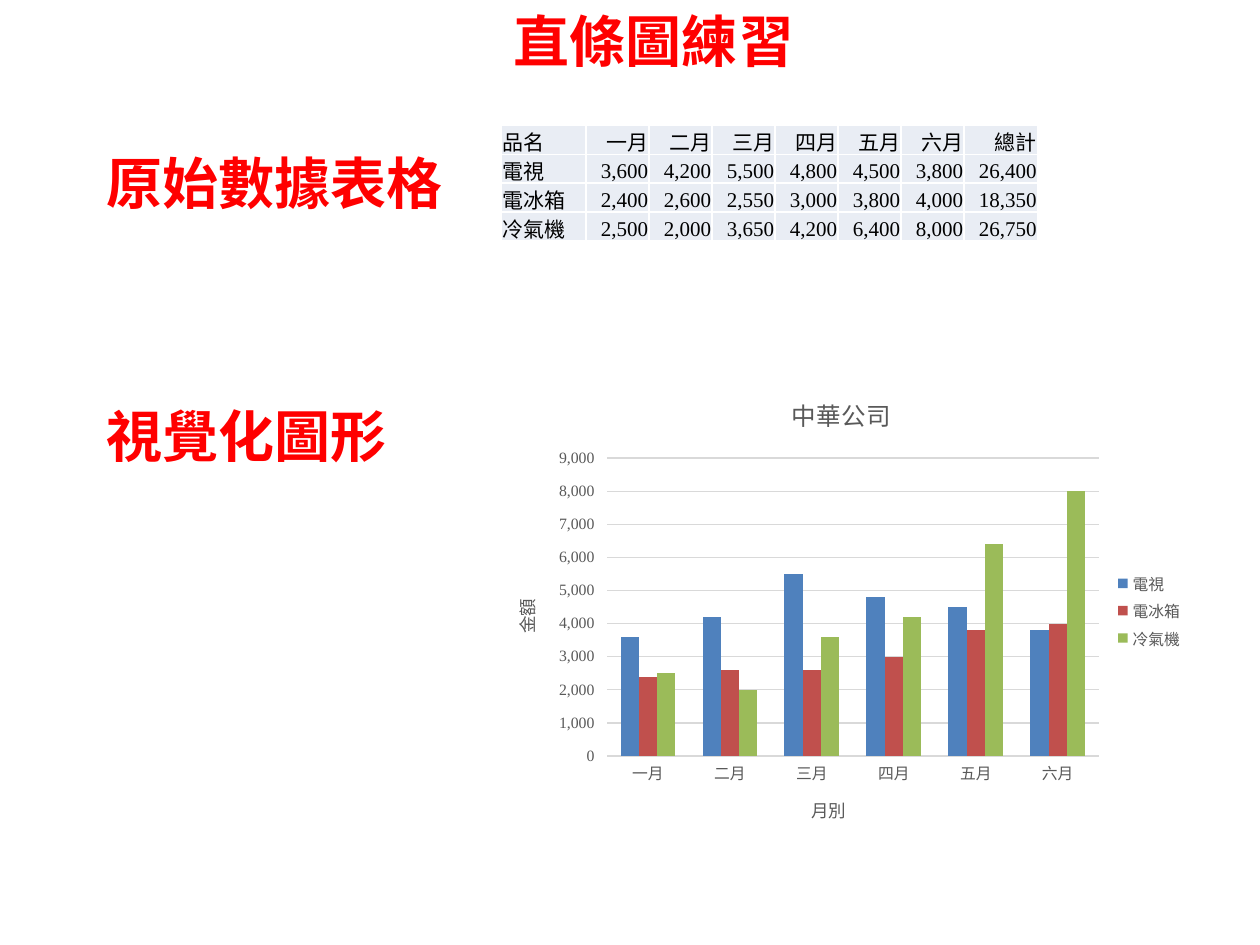
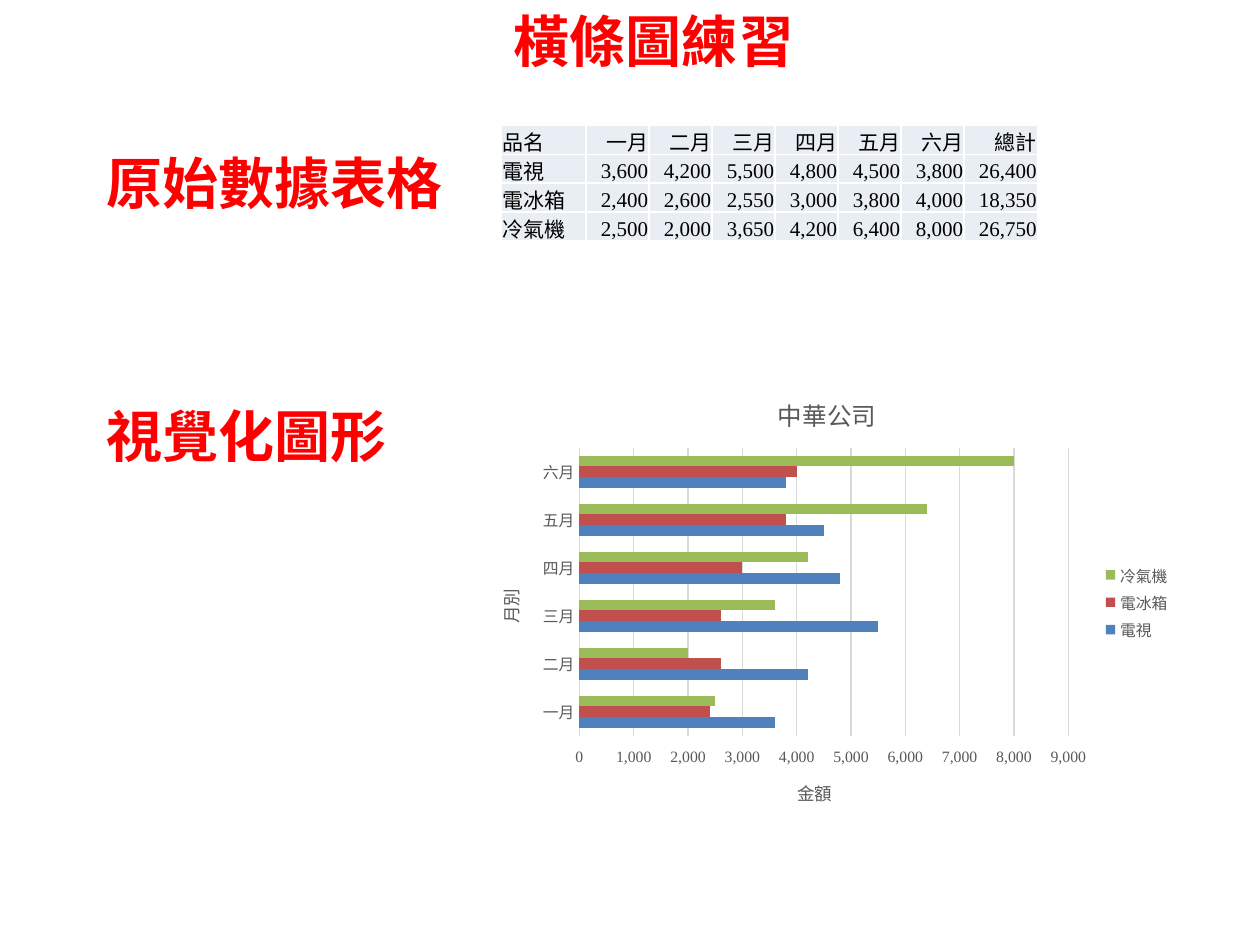
import pptx
import pptx.chart.data
import pptx.dml.color
import pptx.enum.chart
import pptx.enum.text
import pptx.oxml
import pptx.oxml.ns
import pptx.util

Pt = pptx.util.Pt
RGB = pptx.dml.color.RGBColor
XL = pptx.enum.chart
TX = pptx.enum.text

RED = RGB(0xFF, 0x00, 0x00)
BLACK = RGB(0x00, 0x00, 0x00)
GREY = RGB(0x59, 0x59, 0x59)
GRID = RGB(0xD9, 0xD9, 0xD9)
CELL = RGB(0xE9, 0xED, 0xF4)
SERIES_COLOURS = [RGB(0x4F, 0x81, 0xBD), RGB(0xC0, 0x50, 0x4D), RGB(0x9B, 0xBB, 0x59)]

HEADING = {"name": "Arial", "size": Pt(32), "bold": True}
BODY = {"name": "Times New Roman", "size": Pt(12), "bold": False}
CHART_TITLE = {**BODY, "size": Pt(14)}
AXIS_TITLE = {**BODY, "size": Pt(10)}
TICK = {**BODY, "size": Pt(9)}

MONTHS = ["一月", "二月", "三月", "四月", "五月", "六月"]
SALES = {
    "電視": [3600, 4200, 5500, 4800, 4500, 3800],
    "電冰箱": [2400, 2600, 2550, 3000, 3800, 4000],
    "冷氣機": [2500, 2000, 3650, 4200, 6400, 8000],
}

TITLE_BOX = (286.5, 0, 178.5, 46)
LABELS = {"原始數據表格": (54, 81.5, 215, 46), "視覺化圖形": (54, 226, 215, 46)}
TABLE_BOX = (286.5, 71.7, 306.5, 66)


def set_font(font, style, colour):
    for key, value in style.items():
        setattr(font, key, value)
    font.color.rgb = colour


def fill_heading(sp, box, text):
    sp.left, sp.top, sp.width, sp.height = map(Pt, box)
    tf = sp.text_frame
    frame = {"word_wrap": True, "vertical_anchor": TX.MSO_ANCHOR.TOP,
             "auto_size": TX.MSO_AUTO_SIZE.SHAPE_TO_FIT_TEXT,
             "margin_left": Pt(7.2), "margin_right": Pt(7.2),
             "margin_top": Pt(3.6), "margin_bottom": Pt(3.6)}
    for key, value in frame.items():
        setattr(tf, key, value)
    p = tf.paragraphs[0]
    p.alignment, p.line_spacing, p.space_before = TX.PP_ALIGN.LEFT, 1.0, Pt(0)
    r = p.add_run()
    r.text = text
    set_font(r.font, HEADING, RED)


def add_sales_table(s, box):
    rows = [["品名", *MONTHS, "總計"]]
    for name, values in SALES.items():
        rows.append([name] + [f"{v:,}" for v in values + [sum(values)]])
    table = s.shapes.add_table(len(rows), len(rows[0]), *map(Pt, box)).table
    table.first_row = table.horz_banding = False
    first, last = 48.5, 42
    month = (box[2] - first - last) / len(MONTHS)
    for col, width in zip(table.columns, [first] + [month] * len(MONTHS) + [last]):
        col.width = Pt(width)
    for i, row in enumerate(rows):
        table.rows[i].height = Pt(box[3] / len(rows))
        for j, text in enumerate(row):
            cell = table.cell(i, j)
            cell.fill.solid()
            cell.fill.fore_color.rgb = CELL
            cell.vertical_anchor = TX.MSO_ANCHOR.BOTTOM
            cell.margin_left = cell.margin_right = cell.margin_top = Pt(0.6)
            cell.margin_bottom = Pt(0)
            p = cell.text_frame.paragraphs[0]
            p.alignment = TX.PP_ALIGN.RIGHT if j else TX.PP_ALIGN.LEFT
            r = p.add_run()
            r.text = text
            set_font(r.font, BODY, BLACK)


def set_chart_title(holder, text, style, upright):
    tf = holder.text_frame
    p = tf.paragraphs[0]
    r = p.add_run()
    r.text = text
    set_font(r.font, style, GREY)
    if upright:
        body = holder._element.xpath(".//a:bodyPr")[0]
        body.set("rot", "-5400000")
        body.set("vert", "horz")


def place_plot(chart, box, plot_box):
    sizes = (box[2], box[3]) * 2
    parts = "".join(f'<c:{k} val="{v / size:.4f}"/>'
                    for k, v, size in zip("xywh", plot_box, sizes))
    plot_area = chart._chartSpace.chart.plotArea
    for old in plot_area.xpath("./c:layout"):
        plot_area.remove(old)
    plot_area.insert(0, pptx.oxml.parse_xml(
        f'<c:layout {pptx.oxml.ns.nsdecls("c")}><c:manualLayout>'
        '<c:layoutTarget val="inner"/><c:xMode val="edge"/><c:yMode val="edge"/>'
        f'{parts}</c:manualLayout></c:layout>'))


def add_sales_chart(s, box, kind, plot_box):
    data = pptx.chart.data.CategoryChartData(number_format="#,##0")
    data.categories = MONTHS
    for name, values in SALES.items():
        data.add_series(name, [round(v, -2) for v in values])
    chart = s.shapes.add_chart(kind, *map(Pt, box), data).chart
    set_font(chart.font, AXIS_TITLE, BLACK)
    chart.has_title = True
    set_chart_title(chart.chart_title, "中華公司", CHART_TITLE, False)
    chart.has_legend = True
    chart.legend.position = XL.XL_LEGEND_POSITION.RIGHT
    chart.legend.include_in_layout = False
    set_font(chart.legend.font, TICK, GREY)

    horizontal = kind == XL.XL_CHART_TYPE.BAR_CLUSTERED
    cat, val = chart.category_axis, chart.value_axis
    for axis, text, upright in ((cat, "月別", horizontal), (val, "金額", not horizontal)):
        axis.has_title = True
        set_chart_title(axis.axis_title, text, AXIS_TITLE, upright)
        set_font(axis.tick_labels.font, TICK, GREY)
        axis.format.line.fill.background()
    cat.major_tick_mark = XL.XL_TICK_MARK.NONE
    cat.has_major_gridlines = False
    val.major_tick_mark = XL.XL_TICK_MARK.OUTSIDE
    val.minimum_scale, val.maximum_scale, val.major_unit = 0, 9000, 1000
    val.tick_labels.number_format = "#,##0"
    val.tick_labels.number_format_is_linked = False
    val.has_major_gridlines = True
    line = val.major_gridlines.format.line
    line.color.rgb, line.width = GRID, Pt(0.75)

    plot = chart.plots[0]
    plot.gap_width, plot.overlap, plot.vary_by_categories = 150, 0, False
    for series, colour in zip(plot.series, SERIES_COLOURS):
        series.format.fill.solid()
        series.format.fill.fore_color.rgb = colour
    place_plot(chart, box, plot_box)


def add_exercise(prs, title, kind, chart_box, plot_box):
    s = prs.slides.add_slide(prs.slide_layouts.get_by_name("Title Only"))
    fill_heading(s.shapes.title, TITLE_BOX, title)
    for text, box in LABELS.items():
        fill_heading(s.shapes.add_textbox(*map(Pt, box)), box, text)
    add_sales_table(s, TABLE_BOX)
    add_sales_chart(s, chart_box, kind, plot_box)


prs = pptx.Presentation()
prs.slide_width, prs.slide_height = Pt(720), Pt(540)
add_exercise(prs, "直條圖練習", XL.XL_CHART_TYPE.COLUMN_CLUSTERED,
             (278.6, 213, 404.6, 272), (68.2, 48.8, 281.1, 170.3))
add_exercise(prs, "橫條圖練習", XL.XL_CHART_TYPE.BAR_CLUSTERED,
             (269.3, 213.2, 406.8, 262), (61.8, 42.6, 279.4, 164.6))
prs.save("out.pptx")
